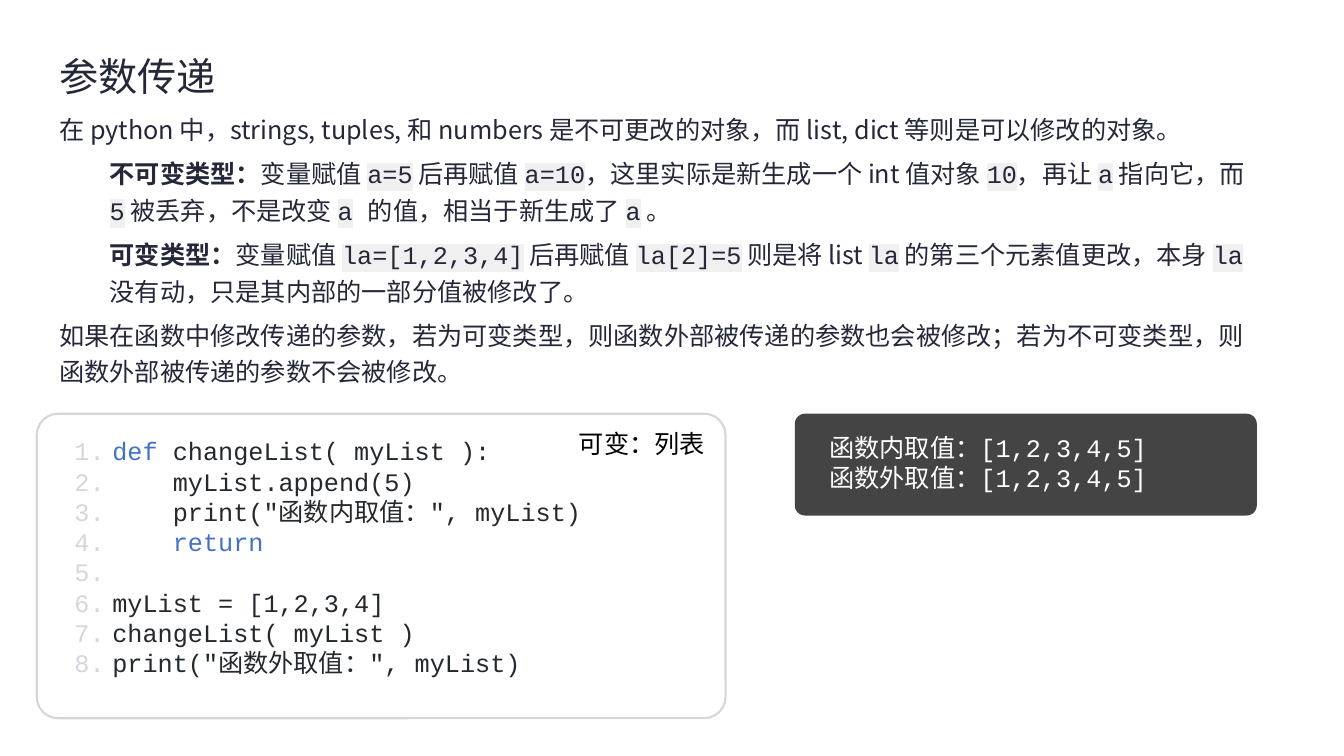
import pptx
import pptx.dml.color
import pptx.enum.shapes
import pptx.enum.text
import pptx.oxml.ns
import pptx.util
from lxml import etree

PX = 9525  # EMU per px, 96 px to the inch
SANS, MONO = "Noto Sans CJK SC", "Courier New"
COLORS = {
    "ink": "252839", "code": "24292E", "keyword": "4472C4", "mark": "F0F0F0",
    "number": "D3D7DC", "frame": "D3D7DC", "paper": "FFFFFF",
    "console": "444444", "label": "000000",
}

# Lead-in, then text whose backquoted pieces are inline code
EXPLANATION = [
    ("", "在 python 中，strings, tuples, 和 numbers 是不可更改的对象，而 list, dict 等则是可以修改的对象。"),
    ("不可变类型：", "变量赋值 `a=5` 后再赋值 `a=10`，这里实际是新生成一个 int 值对象 `10`，再让 `a` 指向它，"
                "而 `5` 被丢弃，不是改变 `a`` `的值，相当于新生成了 `a` 。"),
    ("可变类型：", "变量赋值 `la=[1,2,3,4]` 后再赋值 `la[2]=5` 则是将 list `la` 的第三个元素值更改，"
               "本身 `la`` `没有动，只是其内部的一部分值被修改了。"),
    ("", "如果在函数中修改传递的参数，若为可变类型，则函数外部被传递的参数也会被修改；"
         "若为不可变类型，则函数外部被传递的参数不会被修改。"),
]

# Each code line is a list of (text, color)
CODE = [
    [("def ", "keyword"), ("changeList( myList ):", "code")],
    [("    myList.append(5)", "code")],
    [('    print("函数内取值：", myList)', "code")],
    [("    ", "code"), ("return", "keyword")],
    [(" ", "code")],
    [("myList = [1,2,3,4]", "code")],
    [("changeList( myList )", "code")],
    [('print("函数外取值：", myList)', "code")],
]
OUTPUT = ["函数内取值：[1,2,3,4,5]", "函数外取值：[1,2,3,4,5]"]


def px(value):
    return pptx.util.Emu(value * PX)


def rgb(name):
    return pptx.dml.color.RGBColor.from_string(COLORS[name])


def add_child(parent, tag, **attributes):
    return etree.SubElement(parent, pptx.oxml.ns.qn(tag), attributes)


def add_span(para, text, font=SANS, size=18, color="ink", bold=False, mark=None):
    span = para.add_run()
    span.text = text
    span.font.size = pptx.util.Pt(size)
    span.font.bold = bold
    span.font.color.rgb = rgb(color)
    properties = span.font._element
    if mark:
        add_child(add_child(properties, "a:highlight"), "a:srgbClr", val=COLORS[mark])
    span.font.name = font
    add_child(properties, "a:ea", typeface=SANS)


def next_para(frame, index):
    return frame.paragraphs[0] if index == 0 else frame.add_paragraph()


def set_indent(para, left, first=0):
    properties = para._p.get_or_add_pPr()
    properties.set("marL", str(px(left)))
    properties.set("indent", str(px(first)))
    return properties


def number_line(para):
    properties = set_indent(para, 36, -36)
    add_child(add_child(properties, "a:buClr"), "a:srgbClr", val=COLORS["number"])
    add_child(properties, "a:buAutoNum", type="arabicPeriod")


def add_title(page, text, left, top, width, height):
    title = page.shapes.title
    title.left, title.top, title.width, title.height = map(px, (left, top, width, height))
    frame = title.text_frame
    frame.vertical_anchor = pptx.enum.text.MSO_ANCHOR.TOP
    frame.auto_size = pptx.enum.text.MSO_AUTO_SIZE.NONE
    para = frame.paragraphs[0]
    para.alignment = pptx.enum.text.PP_ALIGN.LEFT
    para.line_spacing = 1.2
    add_span(para, text, size=28)


def add_text_box(page, left, top, width, height, wrap=True):
    frame = page.shapes.add_textbox(*map(px, (left, top, width, height))).text_frame
    frame.word_wrap = wrap
    frame.auto_size = pptx.enum.text.MSO_AUTO_SIZE.SHAPE_TO_FIT_TEXT
    return frame


def add_panel(page, left, top, width, height, corner, fill, line=None):
    panel = page.shapes.add_shape(
        pptx.enum.shapes.MSO_SHAPE.ROUNDED_RECTANGLE, *map(px, (left, top, width, height)))
    panel.adjustments[0] = corner
    panel.shadow.inherit = False
    panel.fill.solid()
    panel.fill.fore_color.rgb = rgb(fill)
    if line:
        panel.line.color.rgb = rgb(line)
        panel.line.width = pptx.util.Pt(1.5)
    else:
        panel.line.fill.background()
    frame = panel.text_frame
    frame.word_wrap = True
    frame.vertical_anchor = pptx.enum.text.MSO_ANCHOR.TOP
    frame.margin_left, frame.margin_right = px(30), px(23)
    frame.margin_top = frame.margin_bottom = px(15)
    return frame


def fill_explanation(frame):
    for index, (lead, text) in enumerate(EXPLANATION):
        para = next_para(frame, index)
        para.line_spacing = 1.2
        para.space_after = pptx.util.Pt(6)
        if lead:
            para.level = 1
            set_indent(para, 48)
            add_span(para, lead, bold=True)
        for position, piece in enumerate(text.split("`")):
            if position % 2:
                add_span(para, piece, font=MONO, mark="mark" if piece.strip() else None)
            elif piece:
                add_span(para, piece)


def fill_code(frame):
    for index, line in enumerate(CODE):
        para = next_para(frame, index)
        para.alignment = pptx.enum.text.PP_ALIGN.JUSTIFY
        number_line(para)
        for text, color in line:
            add_span(para, text, font=MONO, color=color)


def fill_output(frame):
    for index, line in enumerate(OUTPUT):
        para = next_para(frame, index)
        para.alignment = pptx.enum.text.PP_ALIGN.LEFT
        add_span(para, line, font=MONO, color="paper")


def main():
    deck = pptx.Presentation()
    deck.slide_width, deck.slide_height = px(1280), px(720)
    page = deck.slides.add_slide(deck.slide_layouts[5])

    # Title and explanation
    add_title(page, "参数传递", 47, 36, 1150, 62)
    fill_explanation(add_text_box(page, 47, 98, 1150, 277))

    # Console output and code listing
    fill_output(add_panel(page, 757, 394, 440, 97, 0.1, "console"))
    fill_code(add_panel(page, 35, 394, 656, 290, 0.07, "paper", "frame"))

    # Label in the corner of the listing
    label = add_text_box(page, 542, 403, 140, 38, wrap=False)
    add_span(label.paragraphs[0], "可变：列表", color="label")

    deck.save("out.pptx")


if __name__ == "__main__":
    main()
